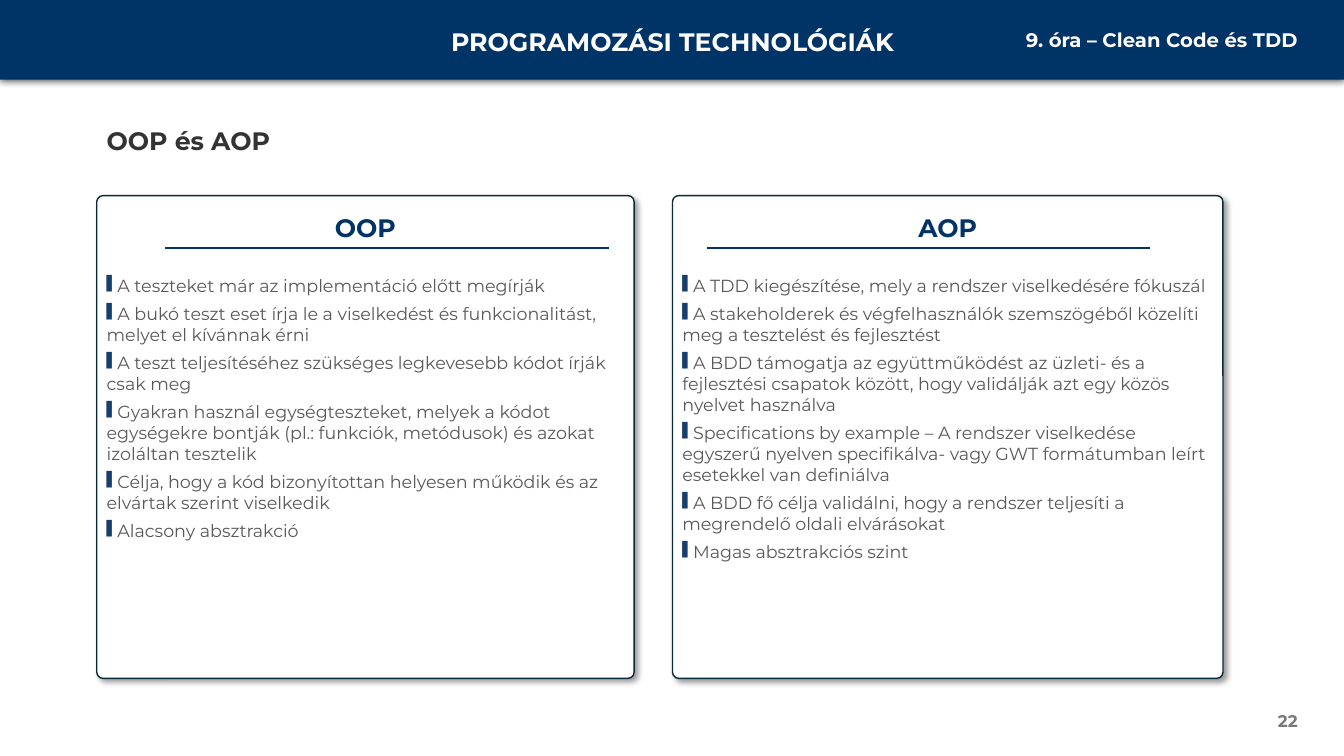
import dataclasses
import typing

import lxml.etree
import pptx
import pptx.dml.color
import pptx.enum.shapes
import pptx.enum.text
import pptx.oxml.ns
import pptx.util

Inches = pptx.util.Inches
Pt = pptx.util.Pt
qn = pptx.oxml.ns.qn
SHAPE = pptx.enum.shapes.MSO_SHAPE
ALIGN = pptx.enum.text.PP_ALIGN
ANCHOR = pptx.enum.text.MSO_ANCHOR

COLORS = {
    "navy": "003366",
    "white": "FFFFFF",
    "title": "333333",
    "edge": "092A39",
    "body": "58595B",
    "bullet": "173F6C",
    "number": "797979",
    "shadow": "000000",
}
FONT = "Montserrat"
CARD_TOP, CARD_HEIGHT = 1.94, 4.79
RULE_TOP, RULE_WIDTH = 2.46, 4.4
INDENT = 0.15


@dataclasses.dataclass
class Box:
    left: float
    top: float
    width: float
    height: float

    def place(self) -> list:
        return [Inches(n) for n in (self.left, self.top, self.width, self.height)]


@dataclasses.dataclass
class Shade:
    alpha: int
    blur: float
    dist: float
    angle: int


@dataclasses.dataclass
class Label:
    text: str
    box: Box
    size: float
    color: str
    align: typing.Any = ALIGN.LEFT
    anchor: typing.Any = ANCHOR.TOP


@dataclasses.dataclass
class Card:
    title: str
    left: float
    width: float
    rule: float
    points: list[str]


LABELS = [
    Label("PROGRAMOZÁSI TECHNOLÓGIÁK", Box(4.06, 0.21, 5.22, 0.4), 18, "white", ALIGN.CENTER),
    Label("9. óra – Clean Code és TDD", Box(9.59, 0.23, 3.38, 0.34), 14, "white", ALIGN.RIGHT),
    Label("OOP és AOP", Box(0.96, 1.19, 8.32, 0.4), 18, "title"),
    Label("22", Box(9.97, 6.95, 3, 0.4), 12, "number", ALIGN.RIGHT, ANCHOR.MIDDLE),
]

CARDS = [
    Card("OOP", 0.96, 5.33, 1.64, [
        "A teszteket már az implementáció előtt megírják",
        "A bukó teszt eset írja le a viselkedést és funkcionalitást, melyet el kívánnak érni",
        "A teszt teljesítéséhez szükséges legkevesebb kódot írják csak meg",
        "Gyakran használ egységteszteket, melyek a kódot egységekre bontják "
        "(pl.: funkciók, metódusok) és azokat izoláltan tesztelik",
        "Célja, hogy a kód bizonyítottan helyesen működik és az elvártak szerint viselkedik",
        "Alacsony absztrakció",
    ]),
    Card("AOP", 6.67, 5.46, 7.01, [
        "A TDD kiegészítése, mely a rendszer viselkedésére fókuszál",
        "A stakeholderek és végfelhasználók szemszögéből közelíti meg a tesztelést és fejlesztést",
        "A BDD támogatja az együttműködést az üzleti- és a fejlesztési csapatok között, "
        "hogy validálják azt egy közös nyelvet használva",
        "Specifications by example – A rendszer viselkedése egyszerű nyelven specifikálva- "
        "vagy GWT formátumban leírt esetekkel van definiálva",
        "A BDD fő célja validálni, hogy a rendszer teljesíti a megrendelő oldali elvárásokat",
        "Magas absztrakciós szint",
    ]),
]


def tint(name: str) -> pptx.dml.color.RGBColor:
    return pptx.dml.color.RGBColor.from_string(COLORS[name])


def apply(target: typing.Any, values: dict) -> None:
    for key, value in values.items():
        setattr(target, key, value)


def nest(parent: typing.Any, tag: str, **attrs: typing.Any) -> typing.Any:
    """Append a child element with the given attributes."""
    texts = {key: str(value) for key, value in attrs.items()}
    return lxml.etree.SubElement(parent, qn(tag), texts)


def add_panel(slide: typing.Any, kind: typing.Any, box: Box, fill: str, shade: Shade) -> typing.Any:
    """Draw a filled shape without outline that casts a shadow."""
    panel = slide.shapes.add_shape(kind, *box.place())
    panel.fill.solid()
    panel.fill.fore_color.rgb = tint(fill)
    panel.line.fill.background()
    panel.shadow.inherit = False
    outer = nest(
        panel._element.spPr.find(qn("a:effectLst")), "a:outerShdw",
        blurRad=Pt(shade.blur), dist=Pt(shade.dist), dir=shade.angle * 60000,
        algn="ctr", rotWithShape=0,
    )
    color = nest(outer, "a:srgbClr", val=COLORS["shadow"])
    nest(color, "a:alpha", val=shade.alpha * 1000)
    return panel


def add_frame(slide: typing.Any, box: Box, anchor: typing.Any = ANCHOR.TOP) -> typing.Any:
    frame = slide.shapes.add_textbox(*box.place()).text_frame
    apply(frame, {"word_wrap": True, "vertical_anchor": anchor})
    return frame


def add_run(para: typing.Any, text: str, size: float, color: str, bold: bool) -> None:
    run = para.add_run()
    run.text = text
    apply(run.font, {"name": FONT, "size": Pt(size), "bold": bold})
    run.font.color.rgb = tint(color)


def add_label(slide: typing.Any, label: Label) -> None:
    para = add_frame(slide, label.box, label.anchor).paragraphs[0]
    para.alignment = label.align
    add_run(para, label.text, label.size, label.color, True)


def add_rule(slide: typing.Any, left: float) -> None:
    ends = [Inches(n) for n in (left, RULE_TOP, left + RULE_WIDTH, RULE_TOP)]
    rule = slide.shapes.add_connector(pptx.enum.shapes.MSO_CONNECTOR.STRAIGHT, *ends)
    rule.line.width = Pt(1.5)
    rule.line.color.rgb = tint("navy")
    nest(rule._element.spPr, "a:effectLst")


def add_points(slide: typing.Any, box: Box, points: list[str]) -> None:
    frame = add_frame(slide, box)
    for index, point in enumerate(points):
        para = frame.add_paragraph() if index else frame.paragraphs[0]
        props = para._p.get_or_add_pPr()
        apply(props, {"marL": Inches(INDENT), "indent": Inches(-INDENT)})
        nest(nest(props, "a:buClr"), "a:srgbClr", val=COLORS["bullet"])
        nest(props, "a:buSzPct", val=80000)
        nest(props, "a:buChar", char="▌")
        apply(para, {"space_before": Pt(3 if index else 0), "space_after": Pt(2)})
        add_run(para, point, 12.5, "body", False)


def add_card(slide: typing.Any, card: Card) -> None:
    box = Box(card.left, CARD_TOP, card.width, CARD_HEIGHT)
    panel = add_panel(slide, SHAPE.ROUNDED_RECTANGLE, box, "white", Shade(40, 4, 3, 45))
    panel.adjustments[0] = 0.013
    panel.line.color.rgb = tint("edge")
    panel.line.width = Pt(1)
    head = Box(card.left, 2.06, card.width, 0.4)
    add_label(slide, Label(card.title, head, 18, "navy", ALIGN.CENTER))
    add_rule(slide, card.rule)
    add_points(slide, Box(card.left, 2.68, card.width, 3.69), card.points)


def main() -> None:
    deck = pptx.Presentation()
    apply(deck, {"slide_width": Inches(13.33), "slide_height": Inches(7.5)})
    slide = deck.slides.add_slide(deck.slide_layouts[6])
    add_panel(slide, SHAPE.RECTANGLE, Box(0, 0, 13.33, 0.79), "navy", Shade(80, 6, 0, 90))
    for label in LABELS:
        add_label(slide, label)
    for card in CARDS:
        add_card(slide, card)
    deck.save("out.pptx")


if __name__ == "__main__":
    main()
